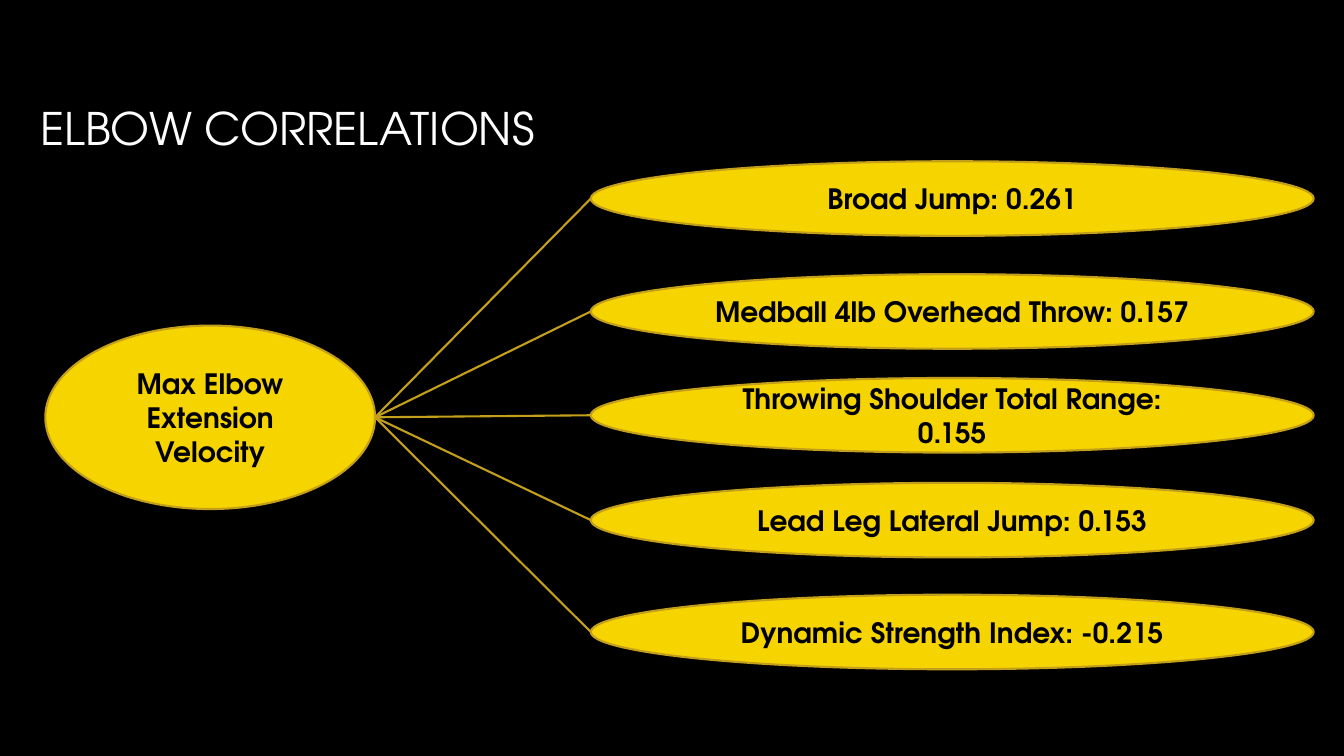
from pptx import Presentation
from pptx.dml.color import RGBColor
from pptx.enum.shapes import MSO_CONNECTOR, MSO_SHAPE
from pptx.enum.text import MSO_ANCHOR, PP_ALIGN
from pptx.oxml.ns import qn
from pptx.util import Inches, Pt
from lxml.etree import SubElement

BLACK = RGBColor(0x00, 0x00, 0x00)
WHITE = RGBColor(0xFF, 0xFF, 0xFF)
YELLOW = RGBColor(0xF6, 0xD4, 0x00)
GOLD = RGBColor(0xC3, 0x9F, 0x1B)
FACE = "TeX Gyre Adventor"

HUB = (0.45, 3.23, 3.27, 1.82)
LEFT, WIDTH, HEIGHT = 5.86, 7.17, 0.74
FACTORS = [
    (1.6, "Broad Jump: 0.261"),
    (2.72, "Medball 4lb Overhead Throw: 0.157"),
    (3.75, "Throwing Shoulder Total Range: 0.155"),
    (4.79, "Lead Leg Lateral Jump: 0.153"),
    (5.9, "Dynamic Strength Index: -0.215"),
]


def set_text(shape, text, size, color, align, bold=False):
    frame = shape.text_frame
    frame.text = text
    frame.word_wrap = True
    frame.vertical_anchor = MSO_ANCHOR.MIDDLE
    para = frame.paragraphs[0]
    para.alignment = align
    font = para.font
    font.name, font.size, font.bold = FACE, Pt(size), bold
    font.color.rgb = color


def set_line(shape):
    shape.line.color.rgb = GOLD
    shape.line.width = Pt(1.5)


def add_title(slide, text):
    title = slide.shapes.title
    title.left, title.top = Inches(0.3), Inches(0.23)
    title.width, title.height = Inches(10.83), Inches(2.08)
    set_text(title, text, 32, WHITE, PP_ALIGN.LEFT)


def add_oval(slide, box, text):
    oval = slide.shapes.add_shape(
        MSO_SHAPE.FLOWCHART_CONNECTOR, *map(Inches, box))
    oval.shadow.inherit = False
    oval.fill.solid()
    oval.fill.fore_color.rgb = YELLOW
    set_line(oval)
    set_text(oval, text, 20, BLACK, PP_ALIGN.CENTER, bold=True)
    return oval


def add_link(slide, hub, oval):
    """Draw a line from the hub's right side to the oval's left side."""
    link = slide.shapes.add_connector(
        MSO_CONNECTOR.STRAIGHT,
        hub.left + hub.width, hub.top + hub.height // 2,
        oval.left, oval.top + oval.height // 2)
    set_line(link)
    SubElement(link._element.spPr, qn("a:effectLst"))


def main():
    prs = Presentation()
    prs.slide_width, prs.slide_height = Inches(13.33), Inches(7.5)
    slide = prs.slides.add_slide(prs.slide_layouts[5])
    slide.background.fill.solid()
    slide.background.fill.fore_color.rgb = BLACK

    add_title(slide, "ELBOW CORRELATIONS")
    hub = add_oval(slide, HUB, "Max Elbow Extension Velocity")
    ovals = [add_oval(slide, (LEFT, top, WIDTH, HEIGHT), text)
             for top, text in FACTORS]
    for oval in ovals:
        add_link(slide, hub, oval)

    prs.save("out.pptx")


if __name__ == "__main__":
    main()
